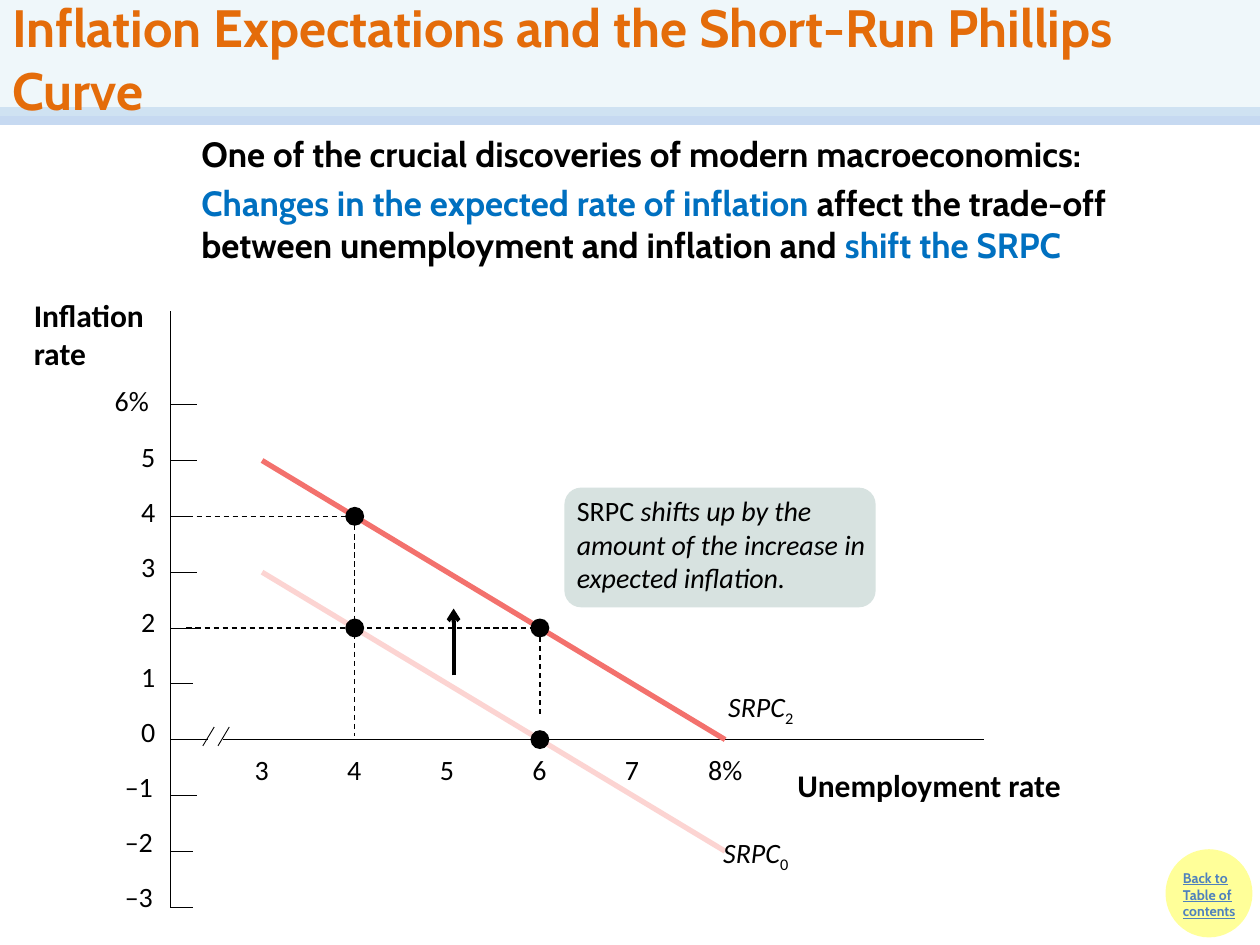
from lxml.etree import SubElement
from pptx import Presentation
from pptx.dml.color import RGBColor
from pptx.enum.dml import MSO_LINE
from pptx.enum.shapes import MSO_CONNECTOR, MSO_SHAPE as SHAPE
from pptx.enum.text import MSO_ANCHOR as ANCHOR, MSO_AUTO_SIZE as FIT
from pptx.oxml.ns import qn
from pptx.util import Inches, Pt

COLORS = {
    "black": "000000", "orange": "E46C0A", "blue": "0070C0", "link": "4F81BD",
    "banner": "DBEEF4", "rule": "C6D9F1", "yellow": "FFFF99",
    "old_curve": "FCD4D2", "new_curve": "F3716D", "callout": "D7E2E0",
}
RGB = {name: RGBColor.from_string(value) for name, value in COLORS.items()}

deck = Presentation()
deck.slide_width, deck.slide_height = Inches(10), Inches(7.5)
page = deck.slides.add_slide(deck.slide_layouts[6])

# Chart grid: one column per point of unemployment, one row per point of inflation
AXIS_X, AXIS_Y = 1.35, 5.87
COLUMN, ROW = 0.735, 0.443
column_x = {rate: 2.08 + (rate - 3) * COLUMN for rate in range(3, 9)}
row_y = {rate: AXIS_Y - rate * ROW for rate in range(-3, 7)}


def add_line(start, end, color="black", width=0.5, dash=None, arrow=False):
    line = page.shapes.add_connector(
        MSO_CONNECTOR.STRAIGHT, *(Inches(v) for v in (*start, *end)))
    line.line.color.rgb = RGB[color]
    line.line.width = Pt(width)
    if dash:
        line.line.dash_style = dash
    properties = line._element.spPr
    if arrow:
        SubElement(properties.find(qn("a:ln")), qn("a:tailEnd"), type="arrow")
    SubElement(properties, qn("a:effectLst"))


def add_box(place, paragraphs, shape=None, fill=None, inset=None, wrap=True,
            anchor=ANCHOR.TOP, gap=0, **base):
    """Add a text box or filled shape; paragraphs are lists of (text, format) spans."""
    place = [Inches(v) for v in place]
    if shape is None:
        box = page.shapes.add_textbox(*place)
    else:
        box = page.shapes.add_shape(shape, *place)
        box.shadow.inherit = False
        box.fill.solid()
        box.fill.fore_color.rgb = RGB[fill]
        box.line.fill.background()
    frame = box.text_frame
    frame.word_wrap, frame.vertical_anchor = wrap, anchor
    frame.auto_size = FIT.NONE
    if inset is not None:
        for side in ("left", "top", "right", "bottom"):
            setattr(frame, f"margin_{side}", Inches(inset))
    for index, spans in enumerate(paragraphs):
        para = frame.add_paragraph() if index else frame.paragraphs[0]
        para.alignment = 1
        if index:
            para.space_before = Pt(gap)
        for text, changes in spans:
            span = para.add_run()
            span.text = text
            values = {"name": "Calibri", "size": 16, "color": "black", **base, **changes}
            span.font.color.rgb = RGB[values.pop("color")]
            span.font.size = Pt(values.pop("size"))
            if values.pop("subscript", False):
                span.font._element.set("baseline", "-25000")
            for key, value in values.items():
                setattr(span.font, key, value)
    return box


# Heading, introduction and the contents button
add_line((0, 0.92), (10, 0.92), "rule", 10)
add_box((9.25, 6.74, 0.69, 0.7), [], SHAPE.OVAL, "yellow")
add_box((9.29, 6.85, 0.72, 0.67), [[("Back to Table of contents", {})]],
        name="Cabin", size=8, color="link", bold=True, underline=True)
banner = add_box(
    (0, 0, 10, 0.92),
    [[("Inflation Expectations and the Short-Run Phillips Curve", {})]],
    SHAPE.RECTANGLE, "banner", anchor=ANCHOR.MIDDLE,
    name="Cabin", size=30, color="orange", bold=True)
banner_color = banner._element.spPr.find(qn("a:solidFill"))[0]
SubElement(banner_color, qn("a:alpha"), val="44000")
add_box((1.5, 1, 8.42, 1.75), [
    [("One of the crucial discoveries of modern macroeconomics:", {})],
    [("Changes in the expected rate of inflation", {"color": "blue"}),
     (" affect the trade-off between unemployment and inflation and ", {}),
     ("shift the SRPC", {"color": "blue"})],
], gap=4, name="Cabin", size=20, bold=True)

# Dashed guides
for start, end in [
    ((1.56, row_y[4]), (column_x[4], row_y[4])),
    ((1.48, row_y[2]), (column_x[6], row_y[2])),
    ((column_x[4], row_y[4]), (column_x[4], 5.84)),
    ((column_x[6], row_y[2]), (column_x[6], 5.7)),
]:
    add_line(start, end, width=0.75, dash=MSO_LINE.DASH)

# Inflation axis
add_line((AXIS_X, 2.47), (AXIS_X, row_y[-3]))
for rate, y in row_y.items():
    if rate:
        length = 0.18 if rate in (4, 1, -2, -3) else 0.21
        add_line((AXIS_X, y), (AXIS_X + length, y))
    label = "6%" if rate == 6 else str(rate).replace("-", "–")
    left, width = (0.91, 0.29) if rate == 6 else (1.12, 0.11) if rate >= 0 else (0.99, 0.22)
    add_box((left, 5.67 - rate * 0.437, width, 0.27), [[(label, {})]], inset=0, wrap=False)
add_box((0.17, 2.3, 5, 0.7), [[("Inflation", {})], [("rate", {})]], size=18, bold=True)

# Curves and the broken unemployment axis
add_line((column_x[3], row_y[3]), (column_x[8], row_y[-2]), "old_curve", 3)
add_line((AXIS_X, AXIS_Y), (1.65, AXIS_Y))
add_line((1.77, AXIS_Y), (7.81, AXIS_Y))
for x in (1.61, 1.73):
    add_line((x, 5.92), (x + 0.09, 5.77))
for rate, x in column_x.items():
    label, left, width = ("8%", 5.62, 0.29) if rate == 8 else (str(rate), x - 0.06, 0.11)
    add_box((left, 5.97, width, 0.27), [[(label, {})]], inset=0, wrap=False)
add_box((6.23, 6.03, 2.44, 0.4), [[("Unemployment rate", {})]],
        wrap=False, size=18, bold=True)
add_line((column_x[3], row_y[5]), (column_x[8], row_y[0]), "new_curve", 3)
for left, top, number in [(5.74, 6.63, "0"), (5.78, 5.47, "2")]:
    add_box((left, top, 0.84, 0.27),
            [[("SRPC", {"italic": True}), (number, {"subscript": True})]], inset=0)

# Points on the curves and the upward shift
DOT = 0.15
for unemployment, inflation in [(6, 0), (4, 2), (4, 4), (6, 2)]:
    add_box((column_x[unemployment] - DOT / 2, row_y[inflation] - DOT / 2, DOT, DOT),
            [], SHAPE.OVAL, "black")
add_line((3.6, 5.36), (3.6, 4.83), width=2.25, arrow=True)

# Callout
panel = add_box((4.48, 3.87, 2.47, 0.95), [], SHAPE.ROUNDED_RECTANGLE, "callout")
panel.adjustments[0] = 0.14
add_box((4.48, 3.87, 2.68, 0.91), [[
    ("SRPC ", {}),
    ("shifts up by the amount of the increase in expected inflation.", {"italic": True}),
]])

deck.save("out.pptx")
